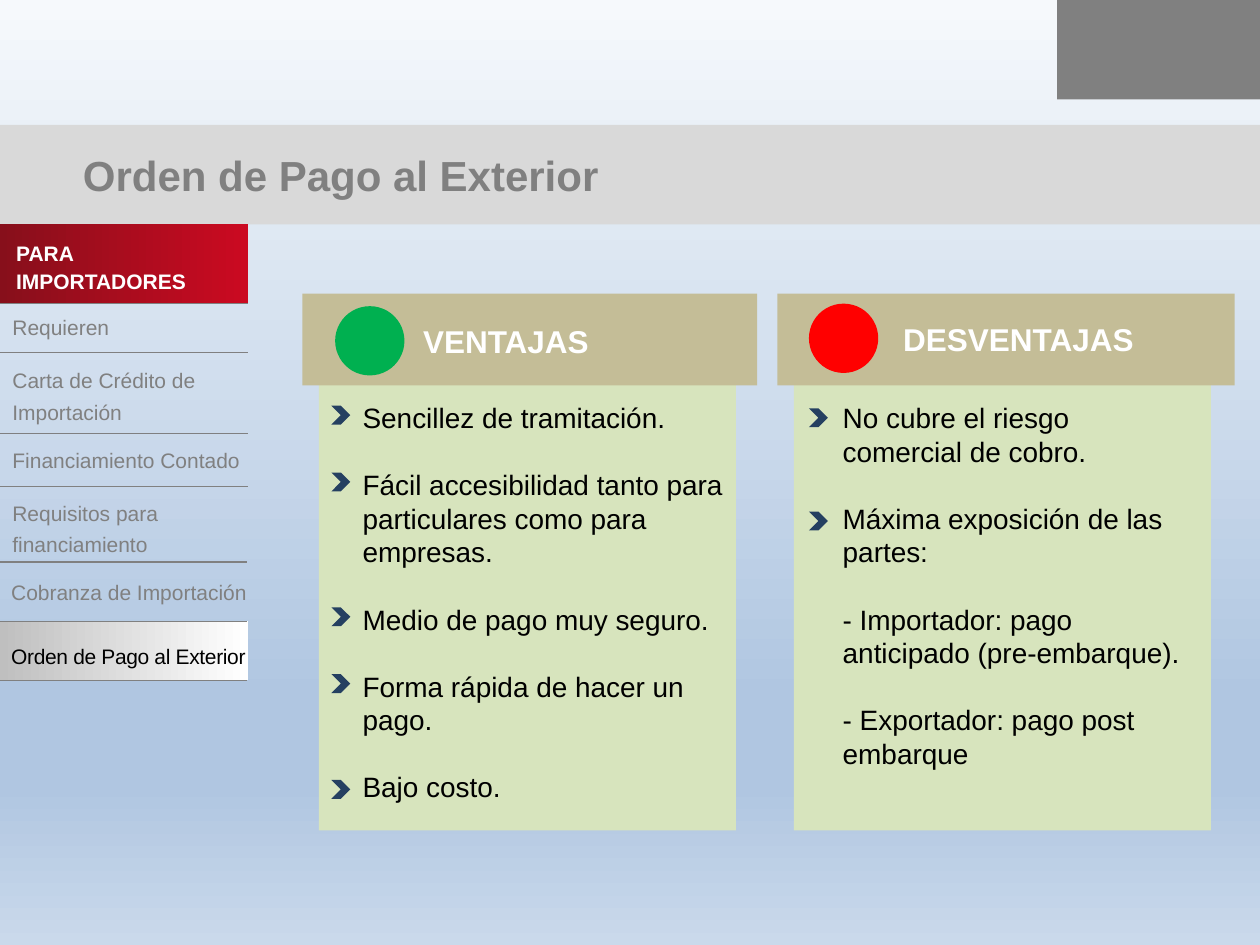
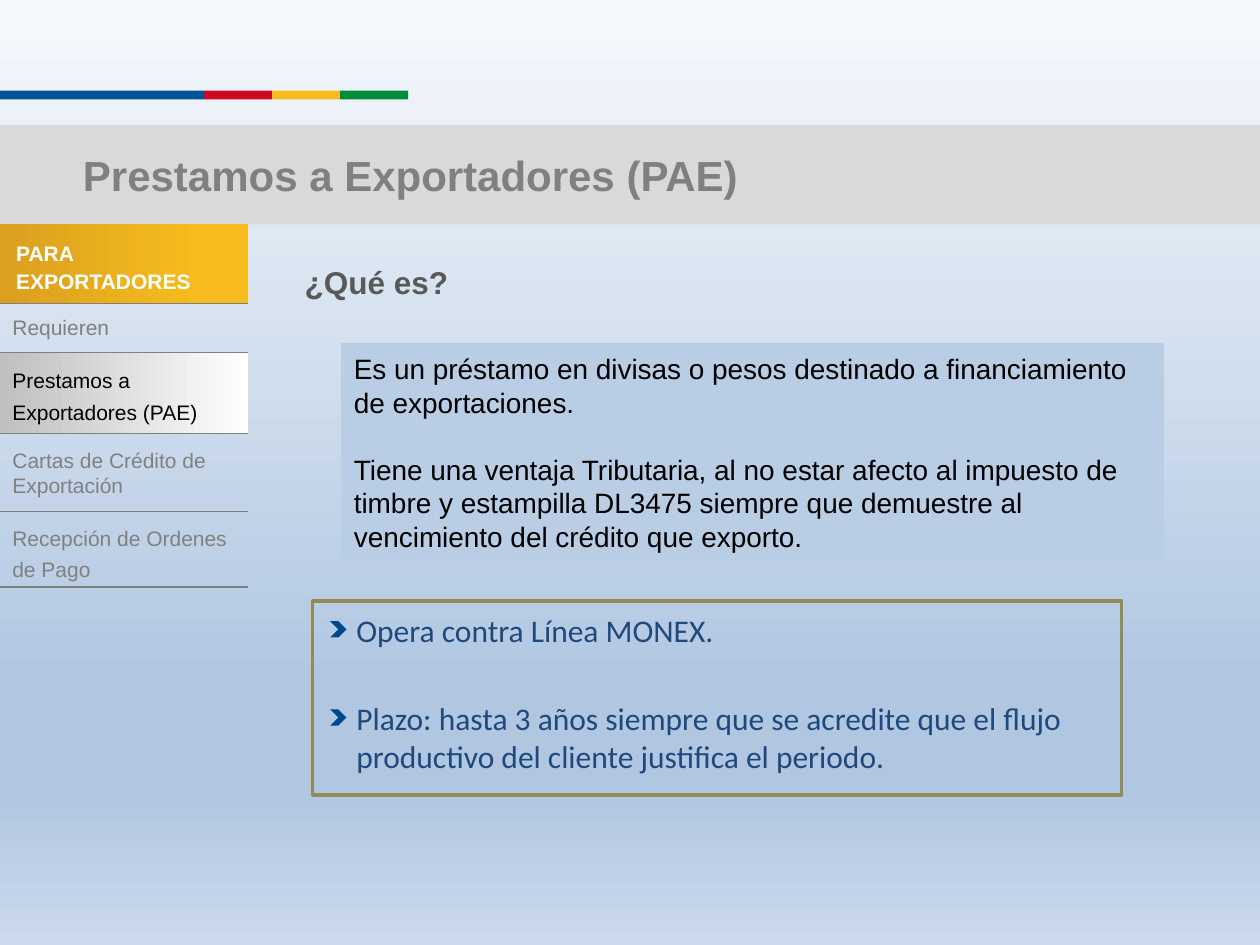
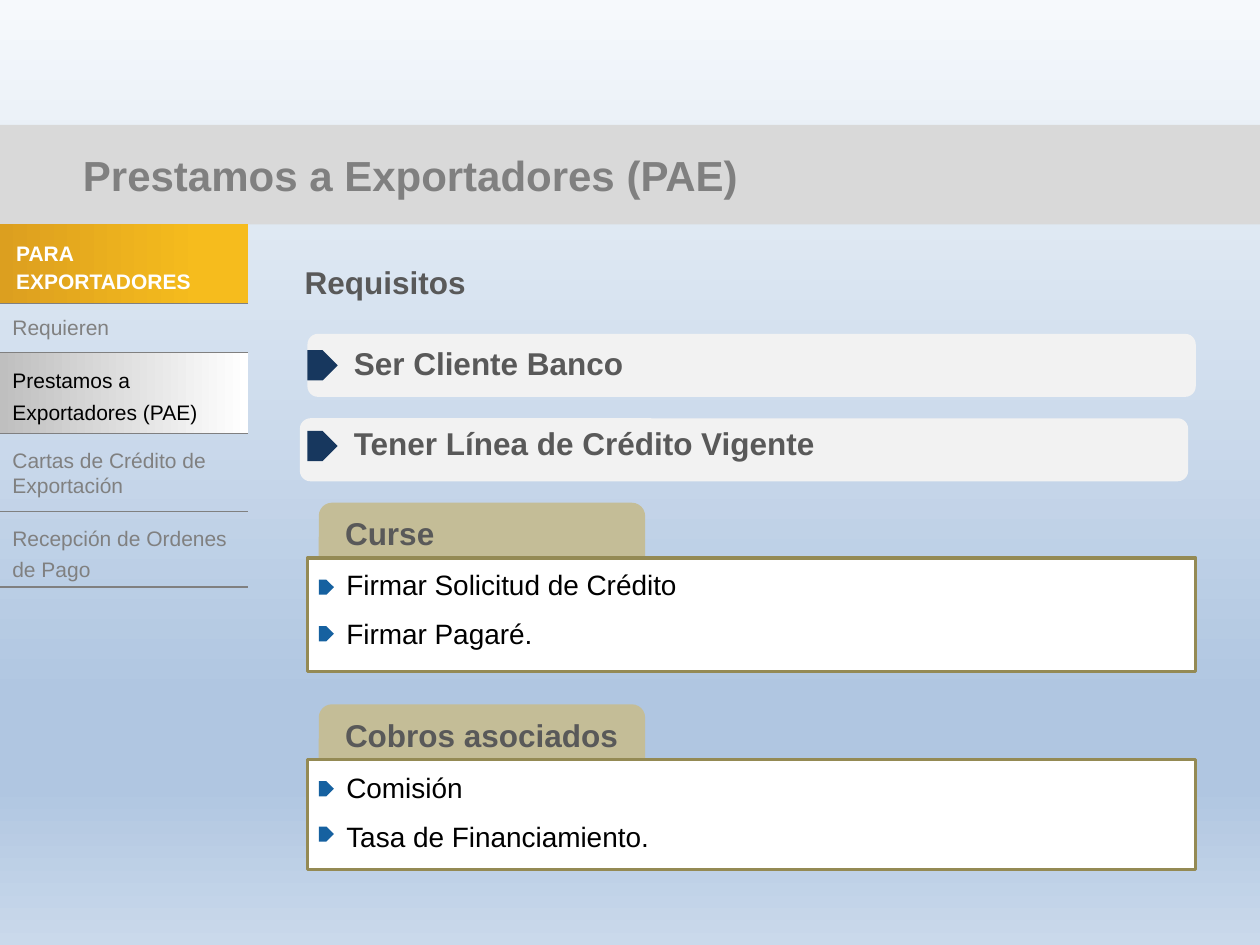
from lxml.etree import SubElement
from pptx import Presentation
from pptx.dml.color import RGBColor
from pptx.enum.shapes import MSO_CONNECTOR, MSO_SHAPE
from pptx.enum.text import MSO_ANCHOR, PP_ALIGN
from pptx.oxml.ns import qn
from pptx.util import Inches, Pt

COLORS = {
    "white": "FFFFFF", "black": "000000", "gray": "808080", "band": "D9D9D9",
    "heading": "595959", "tan": "C4BD97", "olive": "948A54", "light": "F2F2F2",
    "mint": "D7E4BD", "sky": "B9CDE5", "text_blue": "1F497D",
    "chevron": "254061", "chevron_blue": "00468A", "marker": "17375E", "bullet": "1661A0",
    "go": "00B050", "stop": "FF0000",
    "blue": "005396", "red": "CB0A21", "yellow": "F6BC1D", "green": "008B3A",
    "dark_red": "870F1B", "dark_yellow": "DC9F1F", "silver": "BFBFBF",
    "sky_top": "F6F9FC", "sky_mid": "B0C6E1", "sky_end": "CAD9EB",
}
BACKGROUND = [(0, "sky_top"), (74, "sky_mid"), (83, "sky_mid"), (100, "sky_end")]
IMPORT_FILL = [(0, "dark_red"), (100, "red")]
EXPORT_FILL = [(0, "dark_yellow"), (81, "yellow")]
SELECTED_FILL = [(0, "silver"), (100, "white")]
MENU_TOP, MENU_WIDTH = 2.41, 1.97

# Menu entries: text, left, top, width, height, leading, divider below
IMPORT_MENU = [
    ("Requieren", 0, 2.45, 2.08, 0.3, 14, 2.8),
    ("Carta de Crédito de Importación", 0, 2.82, 2.08, 0.58, 18, 3.44),
    ("Financiamiento Contado", 0, 3.51, 2.08, 0.3, 14, 3.86),
    ("Requisitos para financiamiento", 0, 3.87, 1.97, 0.61, 18, 4.46),
    ("Cobranza de Importación", -0.01, 4.5, 2.18, 0.35, 18, 4.93),
    ("Orden de Pago al Exterior", -0.01, 5.01, 2.18, 0.33, 18, 5.4),
]
EXPORT_MENU = [
    ("Requieren", 0, 2.45, 2.08, 0.3, 14, 2.8),
    ("Prestamos a Exportadores (PAE)", 0, 2.82, 2.08, 0.58, 18, 3.44),
    ("Cartas de Crédito de Exportación", 0, 3.51, 2.08, 0.49, 14, 4.06),
    ("Recepción de Ordenes de Pago", 0, 4.07, 1.97, 0.58, 18, 4.66),
]


def rgb(name):
    return RGBColor.from_string(COLORS[name])


class DeckBuilder:
    def __init__(self):
        self.deck = Presentation()
        self.deck.slide_width, self.deck.slide_height = Inches(10), Inches(7.5)
        self.page = None

    def gradient(self, fill, element, stops, angle=0):
        """Fill with any number of (percent, colour) stops; element holds the fill's XML."""
        fill.gradient()
        fill.gradient_angle = angle
        stop_list = element.find(".//" + qn("a:gsLst"))
        for stop in list(stop_list):
            stop_list.remove(stop)
        for percent, color in stops:
            stop = SubElement(stop_list, qn("a:gs"), pos=str(percent * 1000))
            SubElement(stop, qn("a:srgbClr"), val=COLORS[color])

    def shape(self, left, top, width, height, fill=None, kind=MSO_SHAPE.RECTANGLE,
              line=None, weight=2):
        box = self.page.shapes.add_shape(
            kind, Inches(left), Inches(top), Inches(width), Inches(height))
        box.shadow.inherit = False
        if isinstance(fill, list):
            self.gradient(box.fill, box._element, fill)
        elif fill:
            box.fill.solid()
            box.fill.fore_color.rgb = rgb(fill)
        else:
            box.fill.background()
        if line:
            box.line.color.rgb = rgb(line)
            box.line.width = Pt(weight)
        else:
            box.line.fill.background()
        return box

    def divider(self, left, top):
        rule = self.page.shapes.add_connector(
            MSO_CONNECTOR.STRAIGHT, Inches(left), Inches(top),
            Inches(left + MENU_WIDTH), Inches(top))
        rule.line.color.rgb = rgb("gray")
        rule.line.width = Pt(0.75)
        SubElement(rule._element.spPr, qn("a:effectLst"))

    def set_text(self, box, lines, size, color="black", bold=False, font="Arial",
                 leading=None, gap=0, wrap=True, tracking=None):
        """Set one paragraph per line, with gap points between paragraphs."""
        frame = box.text_frame
        frame.word_wrap = wrap
        frame.text = "\n".join(lines)
        for index, para in enumerate(frame.paragraphs):
            para.alignment = PP_ALIGN.LEFT
            para.space_before = Pt(gap if index else 0)
            if leading:
                para.line_spacing = Pt(leading)
            for span in para.runs:
                span.font.name, span.font.size, span.font.bold = font, Pt(size), bold
                span.font.color.rgb = rgb(color)
                if tracking:
                    span._r.get_or_add_rPr().set("spc", str(tracking))

    def text(self, left, top, width, height, lines, size, **style):
        box = self.page.shapes.add_textbox(
            Inches(left), Inches(top), Inches(width), Inches(height))
        box.text_frame.vertical_anchor = MSO_ANCHOR.TOP
        self.set_text(box, lines, size, **style)

    def heading(self, left, top, width, words, color="heading"):
        self.text(left, top, width, 0.4, [words], 18, color=color, bold=True, wrap=False)

    def markers(self, kind, left, tops, size, color):
        for top in tops:
            self.shape(left, top, size, size, color, kind)

    def start_page(self, title, audience, audience_fill, menu, selected, tracking=None):
        self.page = self.deck.slides.add_slide(self.deck.slide_layouts[6])
        self.gradient(self.page.background.fill, self.page._element, BACKGROUND, 270)
        self.shape(0, 0.99, 10, 0.79, "band")
        self.text(0.56, 1.14, 9.18, 0.5, [title], 24, color="gray", bold=True)
        self.shape(0, 1.78, MENU_WIDTH, 0.63, audience_fill)
        self.text(0.03, 1.92, 1.94, 0.49, ["PARA", audience], 12,
                  color="white", bold=True, leading=10, gap=6)
        self.menu(menu, selected, tracking)

    def menu(self, entries, selected, tracking):
        above = MENU_TOP
        for words, left, top, width, height, leading, below in entries:
            chosen = words == selected
            if chosen:
                self.shape(0, above, MENU_WIDTH, below - above, SELECTED_FILL)
            self.divider(left, above)
            self.text(left, top, width, height, [words], 12, leading=leading,
                      color="black" if chosen else "gray",
                      tracking=tracking if chosen else None)
            above = below
        self.divider(left, above)

    def opinion_column(self, left, width, title, title_at, light, light_at,
                       lines, lines_at, chevron_left, chevron_tops):
        self.shape(left + 0.13, 2.92, 3.31, 3.67, "mint")
        self.shape(left, 2.33, width, 0.73, "tan")
        self.shape(*light_at, 0.55, 0.55, light, MSO_SHAPE.OVAL)
        self.heading(*title_at, title, "white")
        self.text(*lines_at, lines, 16, gap=19.2)
        self.markers(MSO_SHAPE.CHEVRON, chevron_left, chevron_tops, 0.15, "chevron")

    def requirement(self, left, top, words, words_top, marker_top, width):
        self.shape(left, top, 7.05, 0.5, "light", MSO_SHAPE.ROUNDED_RECTANGLE)
        self.heading(2.71, words_top, width, words)
        self.markers(MSO_SHAPE.PENTAGON, 2.44, [marker_top], 0.24, "marker")

    def tabbed_list(self, top, title, title_width, lines, height, lines_top, marker_tops):
        self.shape(2.53, top, 2.59, 0.63, "tan", MSO_SHAPE.ROUNDED_RECTANGLE)
        self.shape(2.44, top + 0.44, 7.05, height, "white", line="olive")
        self.heading(2.64, top + 0.04, title_width, title)
        self.text(2.65, lines_top, 7.09, 0.69, lines, 16, leading=14, gap=14)
        self.markers(MSO_SHAPE.PENTAGON, 2.53, marker_tops, 0.12, "bullet")


def payment_order(builder):
    title = "Orden de Pago al Exterior"
    builder.start_page(title, "IMPORTADORES", IMPORT_FILL, IMPORT_MENU, title, tracking=-20)
    builder.shape(8.39, -0.01, 1.61, 0.8, "gray")
    builder.opinion_column(
        2.4, 3.61, "VENTAJAS", (3.26, 2.51, 1.53), "go", (2.66, 2.43),
        ["Sencillez de tramitación.",
         "Fácil accesibilidad tanto para particulares como para empresas.",
         "Medio de pago muy seguro.",
         "Forma rápida de hacer un pago.",
         "Bajo costo."],
        (2.78, 3.13, 3.16, 3.33), 2.63, [3.22, 3.75, 4.82, 5.35, 6.19])
    builder.opinion_column(
        6.17, 3.63, "DESVENTAJAS", (7.07, 2.49, 2.05), "stop", (6.42, 2.41),
        ["No cubre el riesgo comercial de cobro.",
         "Máxima exposición de las partes:",
         "- Importador: pago anticipado (pre-embarque).",
         "- Exportador: pago post embarque"],
        (6.59, 3.13, 2.9, 3.06), 6.42, [3.24, 4.06])


def start_export_page(builder):
    title = "Prestamos a Exportadores (PAE)"
    builder.start_page(title, "EXPORTADORES", EXPORT_FILL, EXPORT_MENU, title)


def loan_definition(builder):
    start_export_page(builder)
    left = 0
    for color, width in (("blue", 1.62), ("red", 0.54), ("yellow", 0.54), ("green", 0.54)):
        builder.shape(left, 0.72, width, 0.07, color)
        left += width
    builder.heading(2.32, 2.04, 1.35, "¿Qué es?")
    definition = builder.shape(2.71, 2.73, 6.52, 1.72, "sky", line="sky", weight=0.75)
    builder.set_text(
        definition,
        ["Es un préstamo en divisas o pesos destinado a financiamiento de exportaciones.",
         "Tiene una ventaja Tributaria, al no estar afecto al impuesto de timbre y estampilla "
         "DL3475 siempre que demuestre al vencimiento del crédito que exporto."],
        16, gap=19.2)
    builder.text(
        2.73, 4.8, 6.01, 1.43,
        ["Opera contra Línea MONEX.",
         "Plazo: hasta 3 años siempre que se acredite que el flujo productivo del cliente "
         "justifica el periodo."],
        18, color="text_blue", font="Calibri", gap=28.8)
    builder.shape(2.48, 4.77, 6.42, 1.54, line="olive")
    builder.markers(MSO_SHAPE.CHEVRON, 2.62, [4.93, 5.63], 0.13, "chevron_blue")


def loan_requirements(builder):
    start_export_page(builder)
    builder.heading(2.32, 2.04, 1.49, "Requisitos")
    builder.requirement(2.44, 2.65, "Ser Cliente Banco", 2.68, 2.78, 2.36)
    builder.requirement(2.38, 3.32, "Tener Línea de Crédito Vigente", 3.32, 3.42, 4.05)
    builder.tabbed_list(3.99, "Curse", 0.92,
                        ["Firmar Solicitud de Crédito", "Firmar Pagaré."],
                        0.9, 4.53, [4.6, 4.97])
    builder.tabbed_list(5.59, "Cobros asociados", 2.47,
                        ["Comisión", "Tasa de Financiamiento."],
                        0.87, 6.14, [6.2, 6.56])


def main():
    builder = DeckBuilder()
    for build_page in (payment_order, loan_definition, loan_requirements):
        build_page(builder)
    builder.deck.save("out.pptx")


if __name__ == "__main__":
    main()
